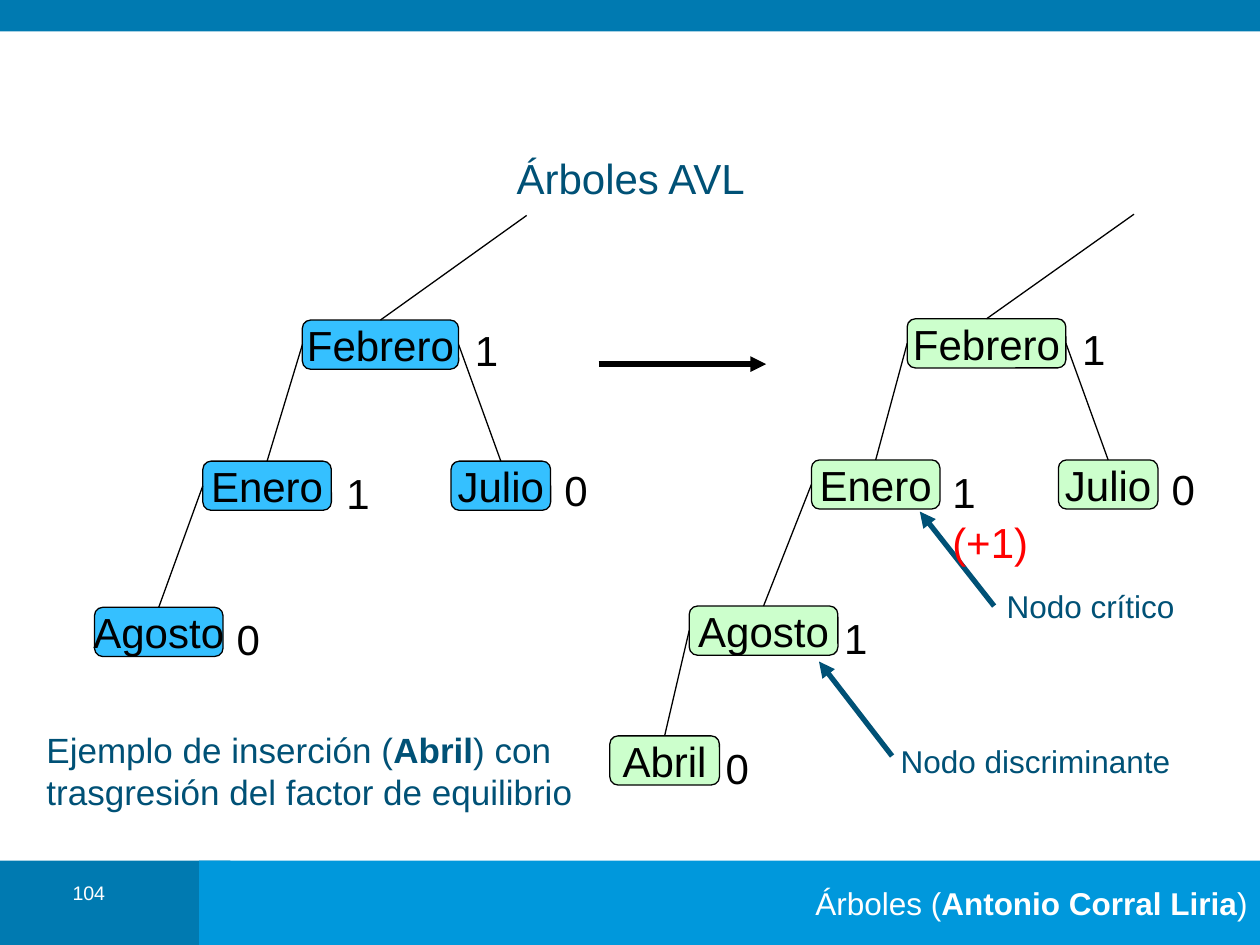
"""Build the AVL tree slide that shows an insertion breaking the balance factor."""
from dataclasses import dataclass

from lxml import etree
from pptx import Presentation
from pptx.dml.color import RGBColor
from pptx.enum.shapes import MSO_CONNECTOR, MSO_SHAPE
from pptx.enum.text import MSO_ANCHOR, MSO_AUTO_SIZE, PP_ALIGN
from pptx.oxml.ns import qn
from pptx.util import Inches, Pt

STRAIGHT = MSO_CONNECTOR.STRAIGHT
RECTANGLE, ROUNDED = MSO_SHAPE.RECTANGLE, MSO_SHAPE.ROUNDED_RECTANGLE
TOP, MIDDLE = MSO_ANCHOR.TOP, MSO_ANCHOR.MIDDLE
FIXED = MSO_AUTO_SIZE.NONE
LEFT, CENTER, RIGHT = PP_ALIGN.LEFT, PP_ALIGN.CENTER, PP_ALIGN.RIGHT
TOP_SITE, LEFT_SITE, RIGHT_SITE = 0, 1, 3


@dataclass(frozen=True)
class Theme:
    """Colours, font and type sizes of the slide."""
    font: str = "Arial"
    white: str = "FFFFFF"
    black: str = "000000"
    ink: str = "005176"
    dark_bar: str = "007AB1"
    light_bar: str = "0098DC"
    before: str = "35C0FF"
    after: str = "CCFFCC"
    alert: str = "FF0000"
    large: float = 24
    body: float = 20
    small: float = 18
    number: float = 11.2
    thin: float = 0.75
    thick: float = 3


@dataclass(frozen=True)
class Node:
    """A tree node with the place of its balance factor."""
    name: str
    left: float
    top: float
    width: float
    factor: str
    factor_left: float
    factor_top: float


class SlideBuilder:
    """Draws styled elements on the current slide."""

    def __init__(self, slide, theme):
        self.slide = slide
        self.theme = theme

    def fill_text(self, frame, runs, size, color, align=LEFT, anchor=TOP, wrap=True):
        """Fill a frame with runs of text, bold flag and optional colour."""
        frame.word_wrap = wrap
        frame.auto_size = FIXED
        frame.vertical_anchor = anchor
        paragraph = frame.paragraphs[0]
        paragraph.alignment = align
        for text, bold, *own_color in runs:
            run = paragraph.add_run()
            run.text = text
            run.font.name = self.theme.font
            run.font.size = Pt(size)
            run.font.bold = bold
            run.font.color.rgb = RGBColor.from_string(own_color[0] if own_color else color)
        return paragraph

    def title(self, text, box):
        """Place and format the title placeholder."""
        heading = self.slide.shapes.title
        heading.left, heading.top, heading.width, heading.height = map(Inches, box)
        self.fill_text(heading.text_frame, [(text, False)], self.theme.large,
                       self.theme.ink, CENTER, MIDDLE)

    def text(self, runs, box, size, color, align=LEFT):
        """Add a text box."""
        label = self.slide.shapes.add_textbox(*map(Inches, box))
        return self.fill_text(label.text_frame, runs, size, color, align)

    def block(self, kind, box, fill):
        """Add a filled shape without an outline."""
        shape = self.slide.shapes.add_shape(kind, *map(Inches, box))
        shape.shadow.inherit = False
        shape.fill.solid()
        shape.fill.fore_color.rgb = RGBColor.from_string(fill)
        shape.line.fill.background()
        return shape

    def node(self, node, fill):
        """Add a tree node with its name."""
        shape = self.block(ROUNDED, (node.left, node.top, node.width, 0.39), fill)
        shape.line.color.rgb = RGBColor.from_string(self.theme.black)
        shape.line.width = Pt(self.theme.thin)
        self.fill_text(shape.text_frame, [(node.name, False)], self.theme.large,
                       self.theme.black, CENTER, MIDDLE, wrap=False)
        return shape

    def line(self, start, end, color, width, arrow=False):
        """Add a straight line, with an arrowhead at its end on request."""
        connector = self.slide.shapes.add_connector(STRAIGHT, *map(Inches, start + end))
        connector.line.color.rgb = RGBColor.from_string(color)
        connector.line.width = Pt(width)
        properties = connector._element.spPr
        if arrow:
            etree.SubElement(properties.find(qn("a:ln")), qn("a:tailEnd"), type="triangle")
        etree.SubElement(properties, qn("a:effectLst"))
        return connector

    def tree(self, nodes, branches, entry, fill):
        """Add nodes, balance factors and the branches that join them."""
        shapes = {node.name: self.node(node, fill) for node in nodes}
        black, thin = self.theme.black, self.theme.thin
        root_branch = self.line(entry, entry, black, thin)
        root_branch.end_connect(shapes[nodes[0].name], TOP_SITE)
        for parent, site, child in branches:
            branch = self.line(entry, entry, black, thin)
            branch.begin_connect(shapes[parent], site)
            branch.end_connect(shapes[child], TOP_SITE)
        for node in nodes:
            balance, _, change = node.factor.partition(" ")
            runs = [(balance, False)]
            if change:
                runs = [(balance + " ", False), (change, False, self.theme.alert)]
            width, height = (0.9, 0.9) if change else (0.39, 0.5)
            self.text(runs, (node.factor_left, node.factor_top, width, height),
                      self.theme.large, black)

    def callout(self, name, box, start, end):
        """Add a node remark with its arrow."""
        self.text([(name, False)], box, self.theme.small, self.theme.ink)
        self.line(start, end, self.theme.ink, self.theme.thick, arrow=True)


BEFORE = [
    Node("Febrero", 2.4, 2.54, 1.24, "1", 3.67, 2.53),
    Node("Enero", 1.61, 3.66, 1.02, "1", 2.65, 3.66),
    Node("Julio", 3.58, 3.66, 0.79, "0", 4.38, 3.64),
    Node("Agosto", 0.75, 4.82, 1.02, "0", 1.78, 4.82),
]
AFTER = [
    Node("Febrero", 7.2, 2.53, 1.26, "1", 8.49, 2.52),
    Node("Enero", 6.44, 3.65, 1.02, "1 (+1)", 7.46, 3.65),
    Node("Julio", 8.4, 3.65, 0.79, "0", 9.2, 3.63),
    Node("Agosto", 5.47, 4.81, 1.18, "1", 6.6, 4.81),
    Node("Abril", 4.84, 5.84, 0.87, "0", 5.66, 5.84),
]
BRANCHES = [
    ("Febrero", LEFT_SITE, "Enero"),
    ("Febrero", RIGHT_SITE, "Julio"),
    ("Enero", LEFT_SITE, "Agosto"),
]
INSERTED = ("Agosto", LEFT_SITE, "Abril")


def main():
    """Build and save the slide."""
    deck = Presentation()
    deck.slide_width, deck.slide_height = Inches(10), Inches(7.5)
    theme = Theme()
    page = SlideBuilder(deck.slides.add_slide(deck.slide_layouts[5]), theme)

    page.block(RECTANGLE, (0, 6.83, 1.83, 0.67), theme.dark_bar)
    footer = page.block(RECTANGLE, (1.58, 6.83, 8.42, 0.67), theme.light_bar)
    page.fill_text(footer.text_frame,
                   [("Árboles (", False), ("Antonio Corral Liria", True), (")", False)],
                   theme.small, theme.white, RIGHT, MIDDLE)
    page.block(RECTANGLE, (0, 0, 10, 0.25), theme.dark_bar)
    page_number = page.text([("104", False)], (0.35, 6.98, 0.71, 0.32),
                            theme.number, theme.white, CENTER)
    page_number.line_spacing = 0.8
    page.title("Árboles AVL", (0.83, 1.2, 8.35, 0.42))

    page.tree(BEFORE, BRANCHES, (4.18, 1.71), theme.before)
    page.callout("Nodo crítico", (7.89, 4.61, 1.55, 0.7), (7.89, 4.81), (7.3, 4.06))
    page.callout("Nodo discriminante", (7.05, 5.84, 2.36, 0.7), (7.08, 6), (6.5, 5.25))
    page.tree(AFTER, BRANCHES + [INSERTED], (9, 1.7), theme.after)
    page.line((4.75, 2.89), (6.08, 2.89), theme.black, theme.thick, arrow=True)
    page.text([("Ejemplo de inserción (", False), ("Abril", True),
               (") con trasgresión del factor de equilibrio", False)],
              (0.27, 5.73, 4.49, 1.1), theme.body, theme.ink)
    deck.save("out.pptx")


if __name__ == "__main__":
    main()
